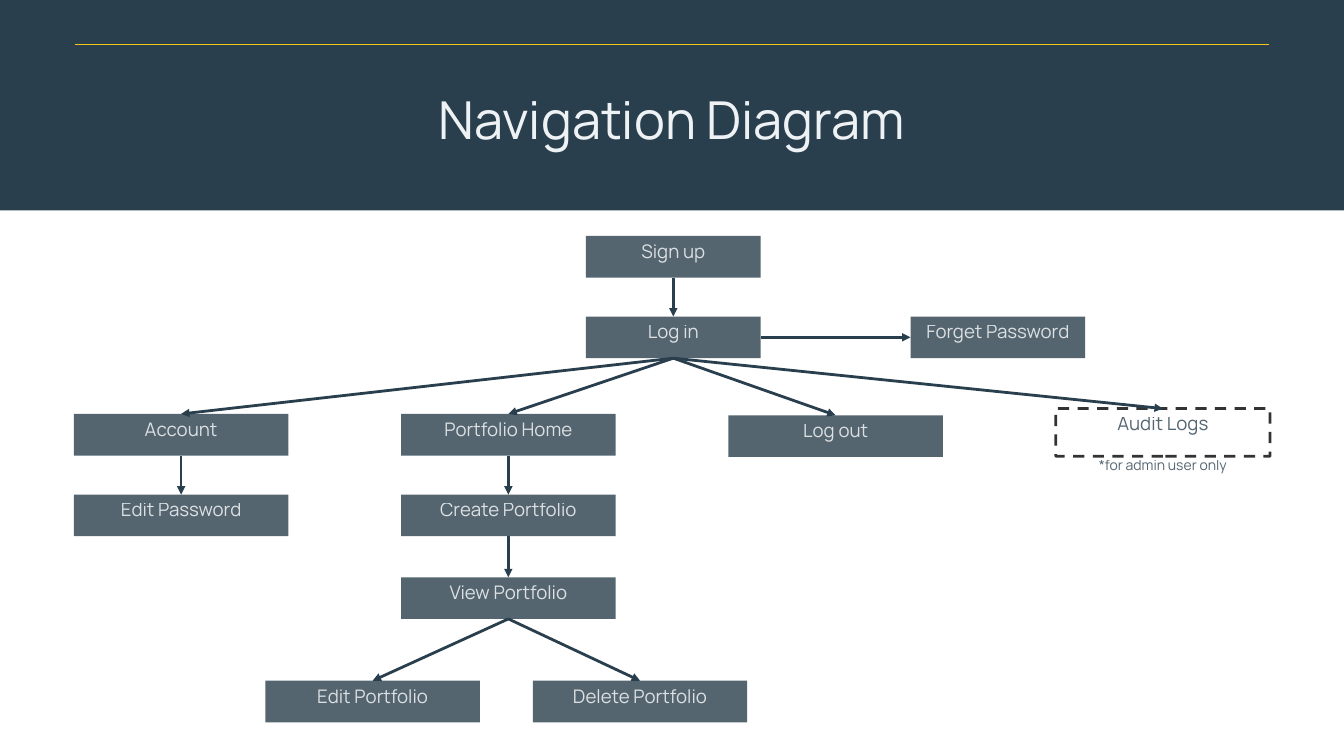
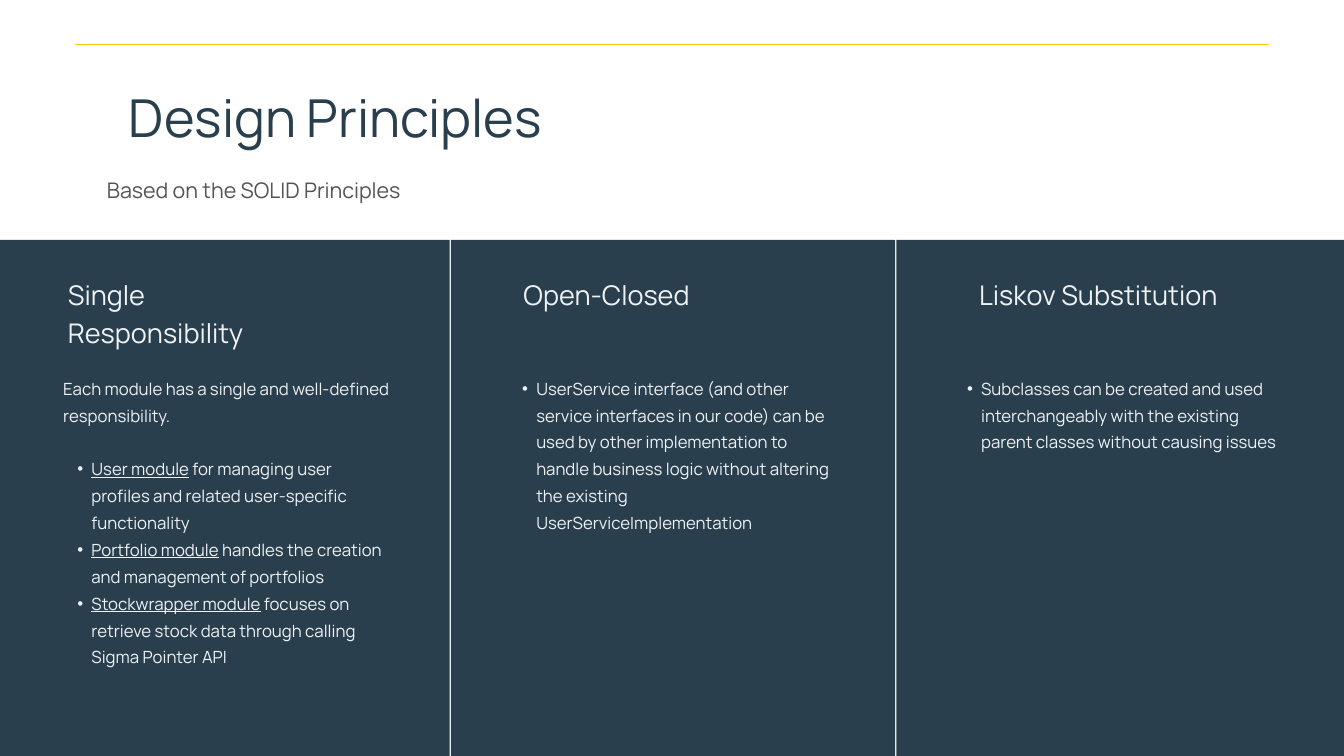
from dataclasses import dataclass

from lxml.etree import SubElement
from pptx import Presentation
from pptx.dml.color import RGBColor
from pptx.enum.dml import MSO_LINE
from pptx.enum.shapes import MSO_CONNECTOR, MSO_SHAPE
from pptx.enum.text import MSO_ANCHOR, MSO_AUTO_SIZE, PP_ALIGN
from pptx.oxml.ns import qn
from pptx.util import Inches, Pt


@dataclass(frozen=True)
class Theme:
    font: str = "Manrope"
    navy: RGBColor = RGBColor(0x2A, 0x3F, 0x4D)
    gold: RGBColor = RGBColor(0xF5, 0xC5, 0x18)
    pale: RGBColor = RGBColor(0xEE, 0xF2, 0xF5)
    gray: RGBColor = RGBColor(0x54, 0x54, 0x54)
    white: RGBColor = RGBColor(0xFF, 0xFF, 0xFF)
    black: RGBColor = RGBColor(0, 0, 0)
    # (size, line spacing) in points
    title: tuple = (56, 67.2)
    subtitle: tuple = (23, 36.8)
    heading: tuple = (29, 40.6)
    body: tuple = (18, 28.8)
    node: tuple = (20, 28)
    note: tuple = (15, 21)


theme = Theme()


def write(shape, paragraphs, style, color, align=PP_ALIGN.LEFT):
    """Fill a shape with (underlined lead, text, bulleted) paragraphs."""
    size, leading = style
    frame = shape.text_frame
    frame.word_wrap = True
    frame.auto_size = MSO_AUTO_SIZE.NONE
    frame.vertical_anchor = MSO_ANCHOR.TOP
    frame.margin_left = frame.margin_right = 0
    frame.margin_top = frame.margin_bottom = 0
    after_plain = False
    for number, (lead, text, bulleted) in enumerate(paragraphs):
        paragraph = frame.add_paragraph() if number else frame.paragraphs[0]
        paragraph.alignment = align
        paragraph.line_spacing = Pt(leading)
        paragraph.space_before = Pt(leading if bulleted and after_plain else 0)
        paragraph.space_after = Pt(0)
        paragraph.level = int(bulleted)
        properties = paragraph._p.get_or_add_pPr()
        properties.set("marL", str(Inches(0.42 if bulleted else 0)))
        properties.set("indent", str(Inches(-0.21 if bulleted else 0)))
        if bulleted:
            SubElement(properties, qn("a:buChar")).set("char", "•")
        else:
            SubElement(properties, qn("a:buNone"))
        for words, underlined in ((lead, True), (text, False)):
            if words:
                run = paragraph.add_run()
                run.text = words
                run.font.name = theme.font
                run.font.size = Pt(size)
                run.font.bold = False
                run.font.underline = underlined
                run.font.color.rgb = color
        after_plain = not bulleted


def add_line(slide, start, end, color, width):
    line = slide.shapes.add_connector(
        MSO_CONNECTOR.STRAIGHT, *(Inches(value) for value in (*start, *end)))
    line.line.color.rgb = color
    line.line.width = Pt(width)
    SubElement(line.element.spPr, qn("a:effectLst"))
    return line


deck = Presentation()
deck.slide_width = Inches(20)
deck.slide_height = Inches(11.25)
navigation = deck.slides.add_slide(deck.slide_layouts.get_by_name("Title Only"))
principles = deck.slides.add_slide(deck.slide_layouts.get_by_name("Comparison"))

# Shared parts: titles, gold rule, navy bands
for slide, text, color, left, top, width in (
    (navigation, "Navigation Diagram", theme.pale, 1.23, 1.3, 17.54),
    (principles, "Design Principles ", theme.navy, 1.45, 1.27, 7.24),
):
    title = slide.shapes.title
    title.left, title.top = Inches(left), Inches(top)
    title.width, title.height = Inches(width), Inches(0.99)
    write(title, [("", text, False)], theme.title, color, PP_ALIGN.CENTER)
    add_line(slide, (1.12, 0.66), (18.88, 0.66), theme.gold, 1.5)

for slide, left, top, width, height in (
    (navigation, 0, 0, 20, 3.13),
    (principles, 0, 3.57, 6.69, 7.68),
    (principles, 6.71, 3.57, 6.61, 7.68),
    (principles, 13.34, 3.57, 6.66, 7.68),
):
    band = slide.shapes.add_shape(
        MSO_SHAPE.RECTANGLE, Inches(left), Inches(top), Inches(width), Inches(height))
    band.shadow.inherit = False
    band.fill.solid()
    band.fill.fore_color.rgb = theme.navy
    band.line.fill.background()
    slide.shapes.title.element.addprevious(band.element)

# Slide 1: navigation tree
account_x, portfolio_x, logout_x, audit_x = (1.1 + 4.87 * i for i in range(4))
narrow, wide = 2.6, 3.19
pages = {}
for page, left, top, width in (
    ("Sign up", 8.72, 3.51, narrow),
    ("Log in", 8.72, 4.71, narrow),
    ("Forget Password", 13.55, 4.71, narrow),
    ("Account", account_x, 6.16, wide),
    ("Edit Password", account_x, 7.36, wide),
    ("Portfolio Home", portfolio_x, 6.16, wide),
    ("Create Portfolio", portfolio_x, 7.36, wide),
    ("View Portfolio", portfolio_x, 8.59, wide),
    ("Edit Portfolio", 3.95, 10.13, wide),
    ("Delete Portfolio", 7.93, 10.13, wide),
    ("Log out", logout_x, 6.18, wide),
    ("Audit Logs", audit_x, 6.08, wide),
):
    admin_only = page == "Audit Logs"
    box = navigation.shapes.add_shape(
        MSO_SHAPE.RECTANGLE, Inches(left), Inches(top), Inches(width),
        Inches(0.71 if admin_only else 0.62))
    box.shadow.inherit = False
    if admin_only:
        box.fill.background()
        box.line.color.rgb = theme.black
        box.line.width = Pt(3)
        box.line.dash_style = MSO_LINE.DASH
    else:
        box.fill.solid()
        box.fill.fore_color.rgb = theme.navy
        box.line.fill.background()
    write(box, [("", page, False)], theme.node,
          theme.navy if admin_only else theme.white, PP_ALIGN.CENTER)
    pages[page] = box

admin_note = navigation.shapes.add_textbox(
    Inches(audit_x), Inches(6.75), Inches(wide), Inches(0.3))
write(admin_note, [("", "*for admin user only", False)], theme.note, theme.navy,
      PP_ALIGN.CENTER)

for faded in (*pages.values(), admin_note):
    for color in faded.element.iter(qn("a:srgbClr")):
        SubElement(color, qn("a:alpha")).set("val", "80000")

TOP, LEFT, BOTTOM, RIGHT = range(4)
for source, target, exit_side, entry_side in (
    ("Sign up", "Log in", BOTTOM, TOP),
    ("Log in", "Forget Password", RIGHT, LEFT),
    ("Log in", "Account", BOTTOM, TOP),
    ("Log in", "Portfolio Home", BOTTOM, TOP),
    ("Log in", "Log out", BOTTOM, TOP),
    ("Log in", "Audit Logs", BOTTOM, TOP),
    ("Account", "Edit Password", BOTTOM, TOP),
    ("Portfolio Home", "Create Portfolio", BOTTOM, TOP),
    ("Create Portfolio", "View Portfolio", BOTTOM, TOP),
    ("View Portfolio", "Edit Portfolio", BOTTOM, TOP),
    ("View Portfolio", "Delete Portfolio", BOTTOM, TOP),
):
    arrow = add_line(navigation, (0, 0), (1, 1), theme.navy, 3)
    arrow.begin_connect(pages[source], exit_side)
    arrow.end_connect(pages[target], entry_side)
    SubElement(arrow.line._get_or_add_ln(), qn("a:tailEnd")).set("type", "triangle")

# Slide 2: subtitle and three principles
subtitle = principles.placeholders[3]
subtitle.left, subtitle.top = Inches(1.59), Inches(2.51)
subtitle.width, subtitle.height = Inches(6.36), Inches(0.49)
write(subtitle, [("", "Based on the SOLID Principles", False)], theme.subtitle, theme.gray)

for column, (placeholder, principle, points) in enumerate((
    (1, "Single Responsibility", [
        ("", "Each module has a single and well-defined responsibility.", False),
        ("User module",
         " for managing user profiles and related user-specific functionality", True),
        ("Portfolio module", " handles the creation and management of portfolios", True),
        ("Stockwrapper module",
         " focuses on retrieve stock data through calling Sigma Pointer API", True),
    ]),
    (2, "Open-Closed", [
        ("", "UserService interface (and other service interfaces in our code) can be "
             "used by other implementation to handle business logic without altering "
             "the existing UserServiceImplementation", True),
    ]),
    (4, "Liskov Substitution", [
        ("", "Subclasses can be created and used interchangeably with the existing "
             "parent classes without causing issues", True),
    ]),
)):
    heading = principles.shapes.add_textbox(
        Inches(1.01 + 6.78 * column), Inches(4.07), Inches(3.84), Inches(1.13))
    write(heading, [("", principle, False)], theme.heading, theme.pale)
    details = principles.placeholders[placeholder]
    details.left, details.top = Inches(0.94 + 6.62 * column), Inches(5.53)
    details.width, details.height = Inches(4.89), Inches(4.74)
    write(details, points, theme.body, theme.pale)

deck.save("out.pptx")
